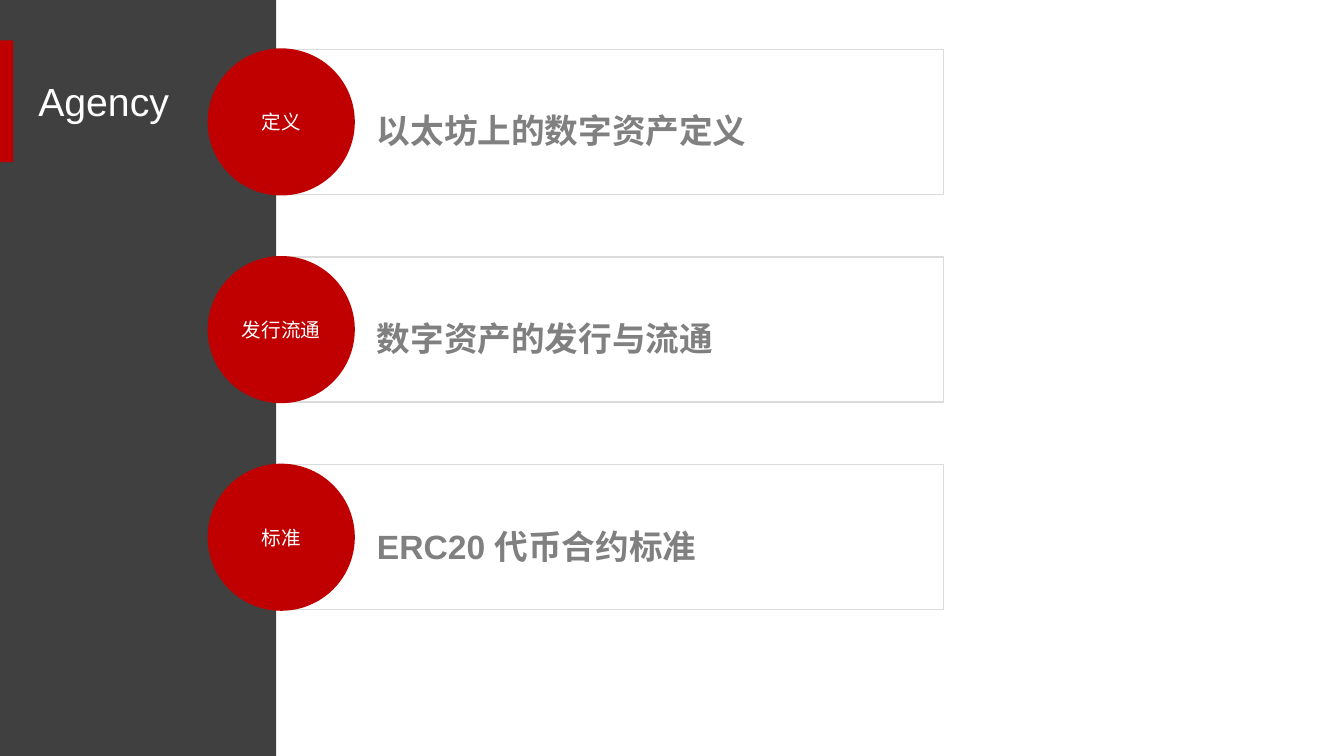
from pptx import Presentation
from pptx.dml.color import RGBColor
from pptx.enum.shapes import MSO_SHAPE
from pptx.enum.text import MSO_ANCHOR, MSO_AUTO_SIZE, PP_ALIGN
from pptx.util import Inches, Pt

RECTANGLE, OVAL = MSO_SHAPE.RECTANGLE, MSO_SHAPE.OVAL
TOP, MIDDLE = MSO_ANCHOR.TOP, MSO_ANCHOR.MIDDLE
LEFT, CENTER = PP_ALIGN.LEFT, PP_ALIGN.CENTER
NO_AUTOFIT = MSO_AUTO_SIZE.NONE

WHITE = RGBColor(0xFF, 0xFF, 0xFF)
CHARCOAL = RGBColor(0x40, 0x40, 0x40)
RED = RGBColor(0xC0, 0x00, 0x00)
BORDER = RGBColor(0xDB, 0xDB, 0xDB)
GRAY = RGBColor(0x80, 0x80, 0x80)

TITLE_ONLY_LAYOUT = 5
ROW_STEP = 2.06
TOPICS = [
    ("定义", "以太坊上的数字资产定义"),
    ("发行流通", "数字资产的发行与流通"),
    ("标准", "ERC20 代币合约标准"),
]


class AgendaSlide:
    """Hold the agenda style and add each kind of element to the slide."""

    font_name = "Arial"

    def __init__(self, presentation):
        layout = presentation.slide_layouts[TITLE_ONLY_LAYOUT]
        self.slide = presentation.slides.add_slide(layout)

    def place(self, shape, left, top, width, height):
        shape.left, shape.top = Inches(left), Inches(top)
        shape.width, shape.height = Inches(width), Inches(height)

    def set_text(self, shape, text, size, color, align=LEFT, anchor=MIDDLE,
                 bold=False, line_spacing=1.0):
        frame = shape.text_frame
        frame.text = text
        frame.word_wrap = True
        frame.auto_size = NO_AUTOFIT
        frame.vertical_anchor = anchor
        paragraph = frame.paragraphs[0]
        paragraph.alignment = align
        paragraph.line_spacing = line_spacing
        font = paragraph.runs[0].font
        font.name, font.size, font.bold = self.font_name, Pt(size), bold
        font.color.rgb = color

    def block(self, kind, left, top, width, height, fill, border=None):
        shape = self.slide.shapes.add_shape(
            kind, Inches(left), Inches(top), Inches(width), Inches(height))
        shape.shadow.inherit = False
        shape.fill.solid()
        shape.fill.fore_color.rgb = fill
        if border is None:
            shape.line.fill.background()
        else:
            shape.line.color.rgb = border
            shape.line.width = Pt(1)
        return shape

    def title(self, text):
        title = self.slide.shapes.title
        title.element.getparent().append(title.element)
        self.place(title, 0.28, 0.72, 3.51, 0.57)
        self.set_text(title, text, 28, WHITE, anchor=TOP)

    def topic(self, offset, label, heading):
        self.block(RECTANGLE, 2.74, 0.49 + offset, 6.62, 1.44, WHITE, BORDER)
        circle = self.block(OVAL, 2.06, 0.48 + offset, 1.46, 1.46, RED)
        self.set_text(circle, label, 14, WHITE, CENTER)
        box = self.slide.shapes.add_textbox(0, 0, 0, 0)
        self.place(box, 3.64, 0.53 + offset, 5.33, 1.41)
        self.set_text(box, heading, 24, GRAY, bold=True, line_spacing=1.3)


def main():
    presentation = Presentation()
    presentation.slide_width = Inches(13.33)
    presentation.slide_height = Inches(7.5)
    agenda = AgendaSlide(presentation)
    agenda.block(RECTANGLE, 0, 0, 2.74, 7.5, CHARCOAL)
    agenda.block(RECTANGLE, 0, 0.4, 0.13, 1.21, RED)
    for row, (label, heading) in enumerate(TOPICS):
        agenda.topic(row * ROW_STEP, label, heading)
    agenda.title("Agency")
    presentation.save("out.pptx")


if __name__ == "__main__":
    main()
